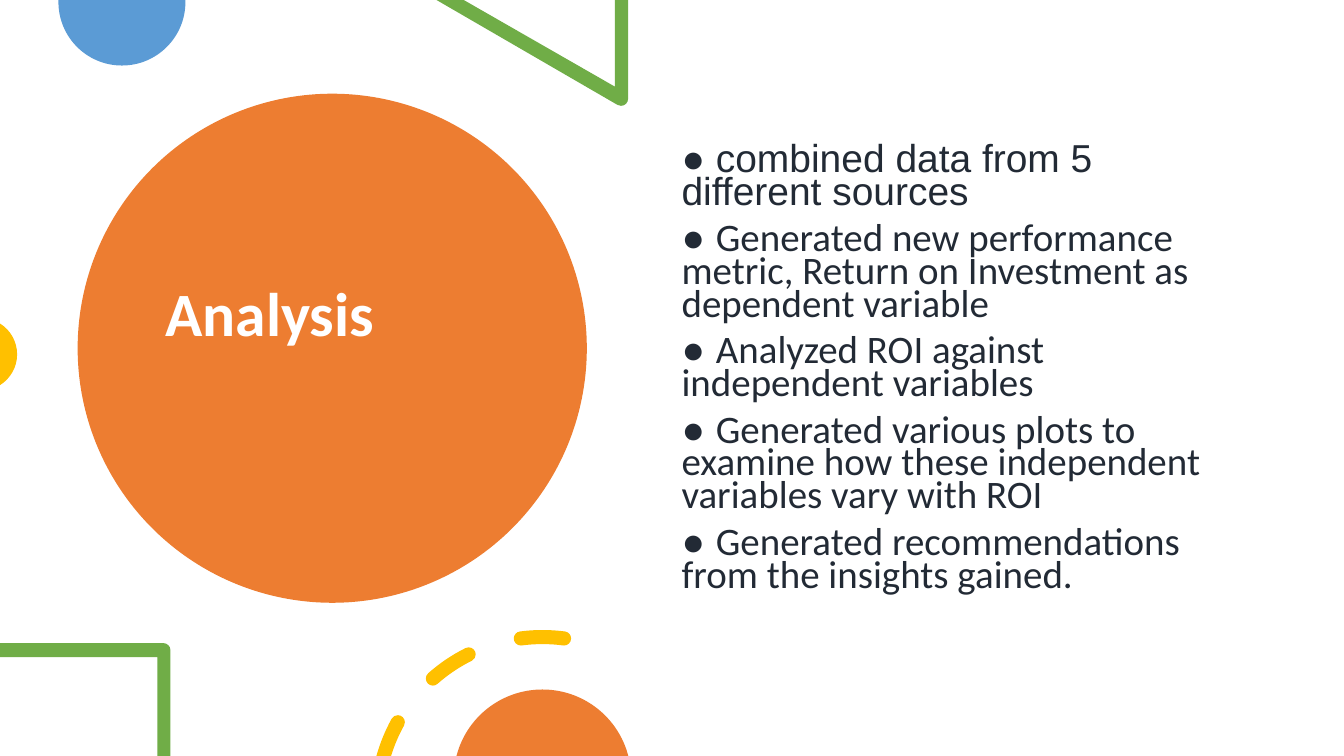
from dataclasses import dataclass
from math import asin, cos, degrees, radians, sin, tan

from lxml.etree import SubElement
from pptx import Presentation
from pptx.dml.color import RGBColor
from pptx.enum.shapes import MSO_SHAPE
from pptx.enum.text import MSO_ANCHOR, MSO_AUTO_SIZE, PP_ALIGN
from pptx.oxml.ns import qn
from pptx.util import Inches, Pt


@dataclass(frozen=True)
class Theme:
    """Colours, fonts and type sizes of the slide."""
    orange: str = "ED7D31"
    blue: str = "5B9BD5"
    green: str = "70AD47"
    yellow: str = "FFC000"
    white: str = "FFFFFF"
    ink: str = "222A35"
    font: str = "Calibri"
    bullet_font: str = "Arial"
    title_size: float = 44
    body_size: float = 27.8


THEME = Theme()
BULLET = "● "
POINTS = [
    ("combined data from 5 different sources", THEME.bullet_font),
    ("Generated new performance metric, Return on Investment as dependent variable", THEME.font),
    ("Analyzed ROI against independent variables", THEME.font),
    ("Generated various plots to examine how these independent variables vary with ROI", THEME.font),
    ("Generated recommendations from the insights gained.", THEME.font),
]


def paint(sp, color):
    """Give a shape a plain fill without line or shadow."""
    sp.shadow.inherit = False
    sp.fill.solid()
    sp.fill.fore_color.rgb = RGBColor.from_string(color)
    sp.line.fill.background()


def on_circle(cx, cy, radius, angle):
    """Return the point at an angle, clockwise from the right."""
    a = radians(angle)
    return cx + radius * cos(a), cy + radius * sin(a)


def arc(cx, cy, radius, start, end, lead=True):
    """Return an arc as curve segments, after a segment leading to its start."""
    inner = [a for a in range(-360, 721, 90) if min(start, end) < a < max(start, end)]
    stops = [start, *sorted(inner, reverse=end < start), end]
    segments = [[on_circle(cx, cy, radius, start)]] if lead else []
    for a, b in zip(stops, stops[1:]):
        k = 4 / 3 * tan(radians(b - a) / 4) * radius
        (x1, y1), (x2, y2) = (on_circle(cx, cy, radius, t) for t in (a, b))
        a, b = radians(a), radians(b)
        segments.append([(x1 - k * sin(a), y1 + k * cos(a)),
                         (x2 + k * sin(b), y2 - k * cos(b)), (x2, y2)])
    return segments


def lines(*points):
    """Return straight segments through points."""
    return [[point] for point in points]


def add_outline(s, color, *contours):
    """Draw closed contours of line and curve segments as one filled shape."""
    builder = None
    for contour in contours:
        first, *rest = [(Inches(x), Inches(y)) for segment in contour for x, y in segment]
        if builder is None:
            builder = s.shapes.build_freeform(*first)
        else:
            builder.move_to(*first)
        builder.add_line_segments(rest, close=True)
    sp = builder.convert_to_shape()
    steps = iter(list(sp.element.iter(qn("a:lnTo"))))
    for segment in (segment for contour in contours for segment in contour[1:]):
        step = next(steps)
        if len(segment) == 3:
            step.tag = qn("a:cubicBezTo")
            for extra in (next(steps), next(steps)):
                step.append(extra[0])
                extra.getparent().remove(extra)
    paint(sp, color)


def add_ring(s):
    """Draw the dashed ring, whose first dash is cut by the bottom edge."""
    cx, cy, radius, half = 5.38, 7.96, 1.64, 0.07
    outer, inner = radius + half, radius - half

    def dash(start, end):
        return [*arc(cx, cy, outer, start, end),
                *arc(*on_circle(cx, cy, radius, end), half, end, end + 180, lead=False),
                *arc(cx, cy, inner, end, start, lead=False)]

    def cap(start):
        return arc(*on_circle(cx, cy, radius, start), half, start - 180, start, lead=False)

    cut_outer, cut_inner = (180 + degrees(asin((cy - 7.5) / r)) for r in (outer, inner))
    cut = dash(cut_outer, 209)[:-1] + arc(cx, cy, inner, 209, cut_inner, lead=False)
    whole = [dash(start, start + 15) + cap(start) for start in (228.5, 262.5)]
    add_outline(s, THEME.yellow, cut, *whole)


def format_run(r, size, font, color, bold=False):
    """Set the type of a run."""
    r.font.size, r.font.name, r.font.bold = Pt(size), font, bold
    r.font.color.rgb = RGBColor.from_string(color)


def place(sp, left, top, width, height, anchor):
    """Move a placeholder and fix its text frame."""
    sp.left, sp.top, sp.width, sp.height = map(Inches, (left, top, width, height))
    tf = sp.text_frame
    tf.word_wrap, tf.auto_size, tf.vertical_anchor = True, MSO_AUTO_SIZE.NONE, anchor
    return tf


def add_title(s):
    """Set the title on its orange circle."""
    title = s.shapes.title
    circle = s.shapes.add_shape(
        MSO_SHAPE.OVAL, Inches(0.77), Inches(0.93), Inches(5.05), Inches(5.05))
    paint(circle, THEME.orange)
    title.element.addprevious(circle.element)
    tf = place(title, 1.54, 0.92, 3, 4.45, MSO_ANCHOR.MIDDLE)
    tf.text = "Analysis"
    p = tf.paragraphs[0]
    p.alignment, p.line_spacing = PP_ALIGN.LEFT, 0.9
    format_run(p.runs[0], THEME.title_size, THEME.font, THEME.white, True)


def add_body(s):
    """Fill the body placeholder with the list of points."""
    tf = place(s.placeholders[1], 6.66, 0.9, 5.75, 5.35, MSO_ANCHOR.TOP)
    tf.margin_top, tf.margin_right = Inches(0.55), Inches(0.2)
    for i, (text, font) in enumerate(POINTS):
        p = tf.add_paragraph() if i else tf.paragraphs[0]
        p.line_spacing, p.space_before = 0.7, Pt(10)
        pPr = p._p.get_or_add_pPr()
        pPr.set("marL", "0")
        pPr.set("indent", "0")
        SubElement(pPr, qn("a:buNone"))
        parts = [(BULLET, THEME.bullet_font), (text, font)]
        if font == THEME.bullet_font:
            parts = [(BULLET + text, font)]
        for part, face in parts:
            r = p.add_run()
            r.text = part
            format_run(r, THEME.body_size, face, THEME.ink)


def add_decorations(s):
    """Draw the shapes that run off the slide's edges."""
    add_outline(s, THEME.blue, lines((1.84, 0), (0.58, 0)) + arc(1.21, 0.02, 0.63, 180, 0))
    add_outline(s, THEME.green, lines((6.23, 0), (6.1, 0), (6.1, 0.86), (4.6, 0), (4.33, 0))
                + arc(6.16, 0.98, 0.07, 120, 0))
    add_outline(s, THEME.yellow, arc(-0.19, 3.515, 0.36, -58, 58))
    add_outline(s, THEME.green, lines((0, 6.38), (0, 6.52), (1.56, 6.52), (1.56, 7.5), (1.69, 7.5))
                + arc(1.62, 6.45, 0.07, 0, -90))
    add_ring(s)
    add_outline(s, THEME.orange, arc(5.38, 7.72, 0.88, 194.4, 345.6))


def main():
    """Build and save the slide."""
    prs = Presentation()
    prs.slide_width, prs.slide_height = Inches(13.33), Inches(7.5)
    s = prs.slides.add_slide(prs.slide_layouts[1])
    add_title(s)
    add_decorations(s)
    add_body(s)
    prs.save("out.pptx")


if __name__ == "__main__":
    main()
